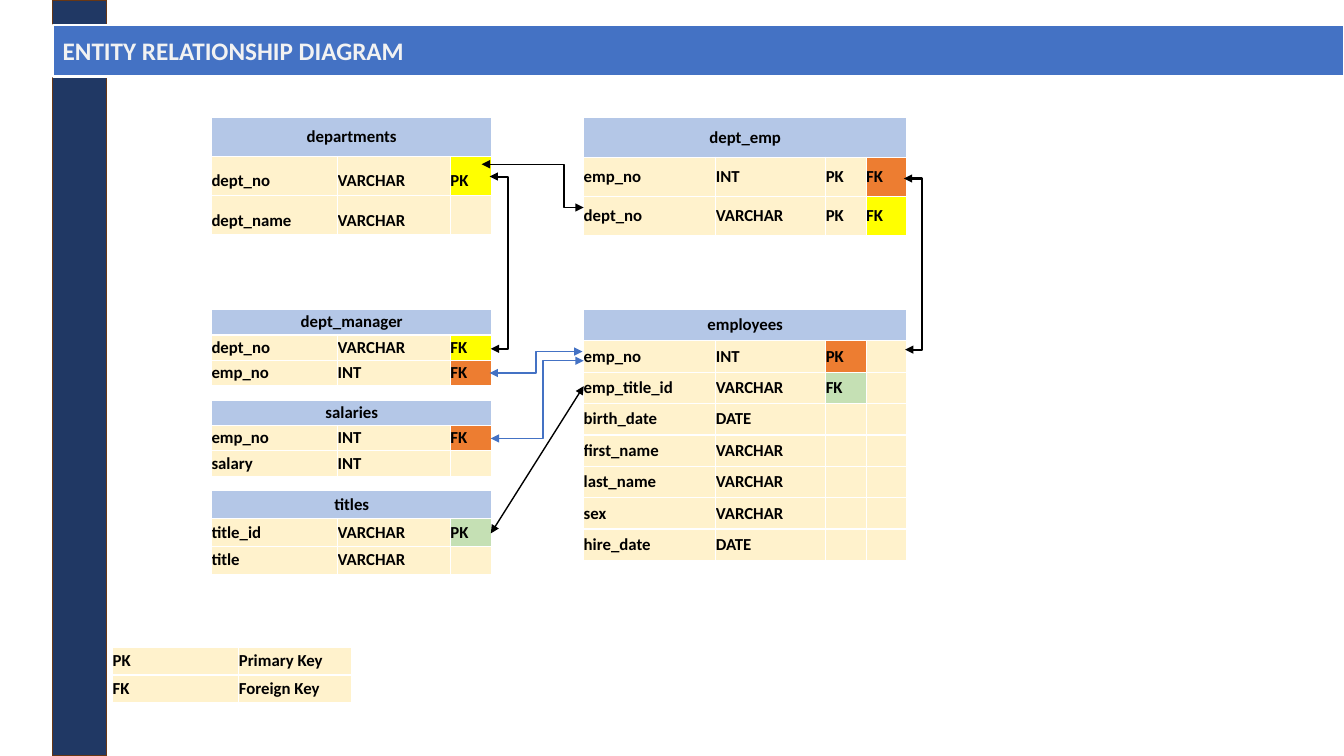
from lxml.etree import SubElement as Sub
from pptx import Presentation
from pptx.dml.color import RGBColor as RGB
from pptx.enum.shapes import MSO_CONNECTOR as Link, MSO_SHAPE as Shape
from pptx.enum.text import MSO_ANCHOR as Anchor, PP_ALIGN as Align
from pptx.oxml.ns import qn
from pptx.util import Cm, Pt


def paint(fill, color):
    fill.solid()
    fill.fore_color.rgb = RGB.from_string(color)


def write(frame, text, size=12, color="000000", align=Align.LEFT, space=None):
    para = frame.paragraphs[0]
    para.alignment = align
    para.line_spacing = space
    if text:
        run = para.add_run()
        run.text = text
        run.font.name = "Calibri"
        run.font.size = Pt(size)
        run.font.bold = True
        paint(run.font.fill, color)
    else:
        para._p.get_or_add_endParaRPr().set("sz", str(size * 100))


deck = Presentation()
deck.slide_width, deck.slide_height = Cm(33.87), Cm(19.05)
slide = deck.slides.add_slide(deck.slide_layouts[6])
shapes = slide.shapes

for top, width, height, color, edge, weight, text in [
    (0, 1.36, 19.05, "203864", "683715", 1, ""),
    (0.62, 32.54, 1.31, "4472C4", "FFFFFF", 1.5, "ENTITY RELATIONSHIP DIAGRAM"),
]:
    bar = shapes.add_shape(Shape.RECTANGLE, Cm(1.33), Cm(top), Cm(width), Cm(height))
    bar.shadow.inherit = False
    paint(bar.fill, color)
    paint(bar.line.fill, edge)
    bar.line.width = Pt(weight)
    bar.text_frame.vertical_anchor = Anchor.MIDDLE
    write(bar.text_frame, text, size=18, color="F2F2F2")

left, right = 5.33, 14.71
narrow, wide = [3.18, 2.84, 1.05], [3.33, 2.77, 1.02, 1.02]
marks = {"dept_no": "FFFF00", "emp_no": "ED7D31", "emp_title_id": "C5E0B4", "title_id": "C5E0B4"}

tables = [
    ("departments", left, 2.95, narrow, 0.99, 1.5, [
        ("dept_no", "VARCHAR", "PK"), ("dept_name", "VARCHAR")]),
    ("dept_manager", left, 7.8, narrow, 0.64, None, [
        ("dept_no", "VARCHAR", "FK"), ("emp_no", "INT", "FK")]),
    ("salaries", left, 10.08, narrow, 0.64, None, [
        ("emp_no", "INT", "FK"), ("salary", "INT")]),
    ("titles", left, 12.37, narrow, 0.7, None, [
        ("title_id", "VARCHAR", "PK"), ("title", "VARCHAR")]),
    ("dept_emp", right, 2.97, wide, 0.99, None, [
        ("emp_no", "INT", "PK", "FK"), ("dept_no", "VARCHAR", "PK", "FK")]),
    ("employees", right, 7.8, wide, 0.79, None, [
        ("emp_no", "INT", "PK"), ("emp_title_id", "VARCHAR", "FK"),
        ("birth_date", "DATE"), ("first_name", "VARCHAR"),
        ("last_name", "VARCHAR"), ("sex", "VARCHAR"), ("hire_date", "DATE")]),
    ("", 2.84, 16.31, narrow[:2], 0.7, None, [
        ("PK", "Primary Key"), ("FK", "Foreign Key")]),
]

for name, x, y, widths, height, space, fields in tables:
    rows = [(name,)] + fields if name else fields
    grid = shapes.add_table(len(rows), len(widths), Cm(x), Cm(y),
                            Cm(sum(widths)), Cm(height * len(rows))).table
    grid.first_row = grid.horz_banding = False
    for col, width in zip(grid.columns, widths):
        col.width = Cm(width)
    for r, row in enumerate(rows):
        grid.rows[r].height = Cm(height)
        head = bool(name) and r == 0
        for c in range(len(widths)):
            cell = grid.cell(r, c)
            cell.margin_left = cell.margin_right = cell.margin_top = cell.margin_bottom = 0
            cell.vertical_anchor = Anchor.MIDDLE
            for side in "LRTB":
                edge = Sub(cell._tc.get_or_add_tcPr(), qn(f"a:ln{side}"), w=str(Pt(1)))
                Sub(Sub(edge, qn("a:solidFill")), qn("a:srgbClr"), val="FFFFFF")
            key = c > 1 and c == len(row) - 1
            paint(cell.fill, "B4C7E7" if head else marks[row[0]] if key else "FFF2CC")
            write(cell.text_frame, row[c] if c < len(row) else "",
                  align=Align.CENTER if head else Align.LEFT,
                  space=None if head else space)
    if name:
        grid.cell(0, 0).merge(grid.cell(0, len(widths) - 1))

links = [
    (12.14, 4.14, 14.71, 5.23, 14.22, "000000", 1),
    (12.34, 4.45, 12.37, 8.79, 12.8, "000000", 1.5),
    (14.71, 9.73, 12.37, 13.44, None, "000000", 1),
    (14.71, 9.09, 12.37, 11.05, 13.69, "4472C4", 1),
    (14.68, 8.86, 12.34, 9.4, 13.51, "4472C4", 1),
    (22.78, 4.5, 22.81, 8.81, 23.24, "000000", 1.5),
]

for x1, y1, x2, y2, bend, color, weight in links:
    kind = Link.ELBOW if bend else Link.STRAIGHT
    link = shapes.add_connector(kind, Cm(x1), Cm(y1), Cm(x2), Cm(y2))
    paint(link.line.fill, color)
    link.line.width = Pt(weight)
    props = link._element.spPr
    if bend:
        ratio = round((bend - x1) / (x2 - x1) * 100000)
        guides = props.find(qn("a:prstGeom")).find(qn("a:avLst"))
        Sub(guides, qn("a:gd"), name="adj1", fmla=f"val {ratio}")
    for end in ("a:headEnd", "a:tailEnd"):
        Sub(props.find(qn("a:ln")), qn(end), type="triangle")
    Sub(props, qn("a:effectLst"))

deck.save("out.pptx")
